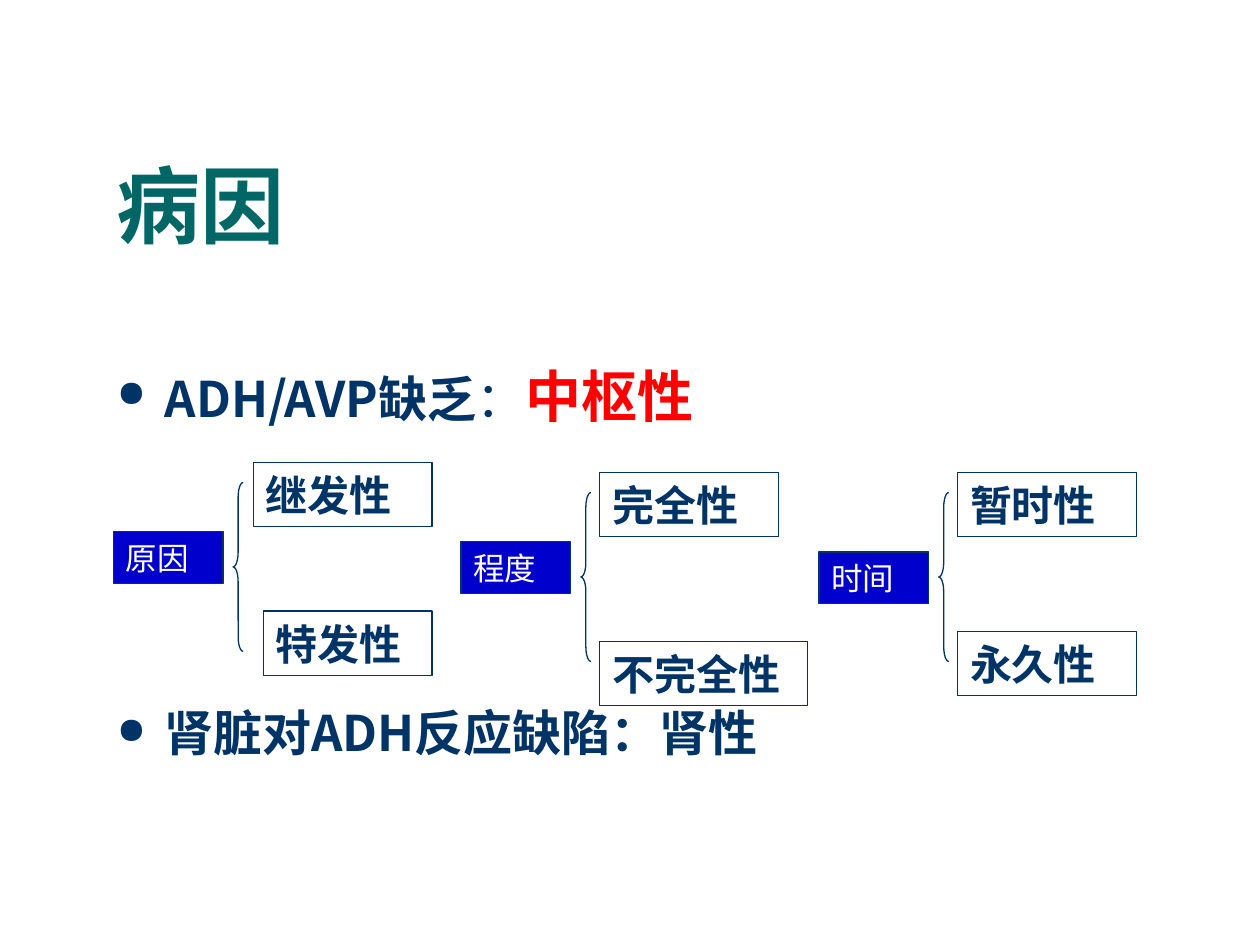
from lxml import etree
from pptx import Presentation
from pptx.dml.color import RGBColor
from pptx.enum.shapes import MSO_SHAPE
from pptx.enum.text import MSO_ANCHOR, PP_ALIGN
from pptx.oxml.ns import qn
from pptx.util import Inches, Pt

RECTANGLE, BRACE = MSO_SHAPE.RECTANGLE, MSO_SHAPE.LEFT_BRACE
TOP, MIDDLE, BOTTOM = MSO_ANCHOR.TOP, MSO_ANCHOR.MIDDLE, MSO_ANCHOR.BOTTOM
LEFT = PP_ALIGN.LEFT

NAVY = RGBColor(0x00, 0x33, 0x66)
TEAL = RGBColor(0x00, 0x66, 0x66)
BLUE = RGBColor(0x00, 0x00, 0xCC)
RED = RGBColor(0xFF, 0x00, 0x00)
WHITE = RGBColor(0xFF, 0xFF, 0xFF)
CJK_FONT = "Noto Sans CJK SC"


class SlideBuilder:
    """Holds the style and the slide being filled."""

    line_spacing = 0.9
    bullet_indent = Inches(0.38)
    outline_width = Pt(0.75)

    def __init__(self, slide):
        self.slide = slide

    def format_run(self, run, size, color, bold, font="Arial"):
        run.font.name, run.font.size, run.font.bold = font, Pt(size), bold
        run.font.color.rgb = color
        east_asian = etree.SubElement(run.font._element, qn("a:ea"))
        east_asian.set("typeface", CJK_FONT)

    def text_area(self, left, top, width, height, anchor):
        area = self.slide.shapes.add_textbox(
            Inches(left), Inches(top), Inches(width), Inches(height))
        frame = area.text_frame
        frame.word_wrap = True
        frame.vertical_anchor = anchor
        return frame

    def title(self, text, *place):
        heading = self.text_area(*place, BOTTOM).paragraphs[0]
        heading.text = text
        heading.line_spacing = self.line_spacing
        self.format_run(heading.runs[0], 48, TEAL, True)

    def bullets(self, items, gap, *place):
        """Each item is a list of (text, size, color, bold) runs."""
        frame = self.text_area(*place, TOP)
        for index, item in enumerate(items):
            bullet = frame.add_paragraph() if index else frame.paragraphs[0]
            bullet.line_spacing = self.line_spacing
            if index:
                bullet.space_before = Pt(gap)
            self.add_bullet_mark(bullet)
            for text, size, color, bold in item:
                run = bullet.add_run()
                run.text = text
                self.format_run(run, size, color, bold, CJK_FONT)

    def add_bullet_mark(self, paragraph):
        properties = paragraph._p.get_or_add_pPr()
        properties.set("marL", str(self.bullet_indent))
        properties.set("indent", str(-self.bullet_indent))
        color = etree.SubElement(properties, qn("a:buClr"))
        etree.SubElement(color, qn("a:srgbClr")).set("val", str(NAVY))
        etree.SubElement(properties, qn("a:buSzPct")).set("val", "75000")
        etree.SubElement(properties, qn("a:buChar")).set("char", "●")

    def outline(self, kind, left, top, width, height, fill=None):
        shape = self.slide.shapes.add_shape(
            kind, Inches(left), Inches(top), Inches(width), Inches(height))
        shape.shadow.inherit = False
        if fill is None:
            shape.fill.background()
        else:
            shape.fill.solid()
            shape.fill.fore_color.rgb = fill
        shape.line.color.rgb = NAVY
        shape.line.width = self.outline_width
        return shape

    def box(self, text, left, top, width, height, size, color, bold,
            fill=None, font="Arial"):
        frame = self.outline(RECTANGLE, left, top, width, height, fill).text_frame
        frame.word_wrap = True
        frame.vertical_anchor = MIDDLE
        frame.text = text
        frame.paragraphs[0].alignment = LEFT
        self.format_run(frame.paragraphs[0].runs[0], size, color, bold, font)

    def brace(self, left, top):
        brace = self.outline(BRACE, left, top, 0.08, 1.34)
        brace.adjustments[0] = 1.428

    def branch(self, label, font, left, label_top, brace_top, options):
        """A label, a brace and its options, each (text, left, top, width)."""
        self.brace(left + 0.95, brace_top)
        for text, option_left, option_top, width in options:
            self.box(text, option_left, option_top, width, 0.51, 24, NAVY, True)
        self.box(label, left, label_top, 0.87, 0.41, 18, WHITE, False, BLUE, font)


def main():
    presentation = Presentation()
    presentation.slide_width, presentation.slide_height = Inches(10), Inches(7.5)
    blank = presentation.slide_layouts[6]
    builder = SlideBuilder(presentation.slides.add_slide(blank))

    # Title
    builder.title("病因", 0.83, 0.83, 8.67, 1.25)

    # Two causes, with room between them for the branches
    causes = [
        [("ADH/AVP缺乏", 28, NAVY, True), ("：", 28, NAVY, False),
         ("中枢性", 32, RED, True)],
        [("肾脏对ADH反应缺陷：肾性", 28, NAVY, True)],
    ]
    builder.bullets(causes, 160, 0.83, 2.88, 8.41, 4.07)

    # Classification of the central type
    branches = [
        ("原因", "Montserrat", 0.9, 4.22, 3.83,
         [("继发性", 2.01, 3.67, 1.42), ("特发性", 2.09, 4.85, 1.34)]),
        ("程度", "Arial", 3.66, 4.3, 3.91,
         [("完全性", 4.76, 3.75, 1.42), ("不完全性", 4.76, 5.09, 1.65)]),
        ("时间", "Arial", 6.5, 4.38, 3.91,
         [("暂时性", 7.6, 3.75, 1.42), ("永久性", 7.6, 5.01, 1.42)]),
    ]
    for branch in branches:
        builder.branch(*branch)

    presentation.save("out.pptx")


if __name__ == "__main__":
    main()
